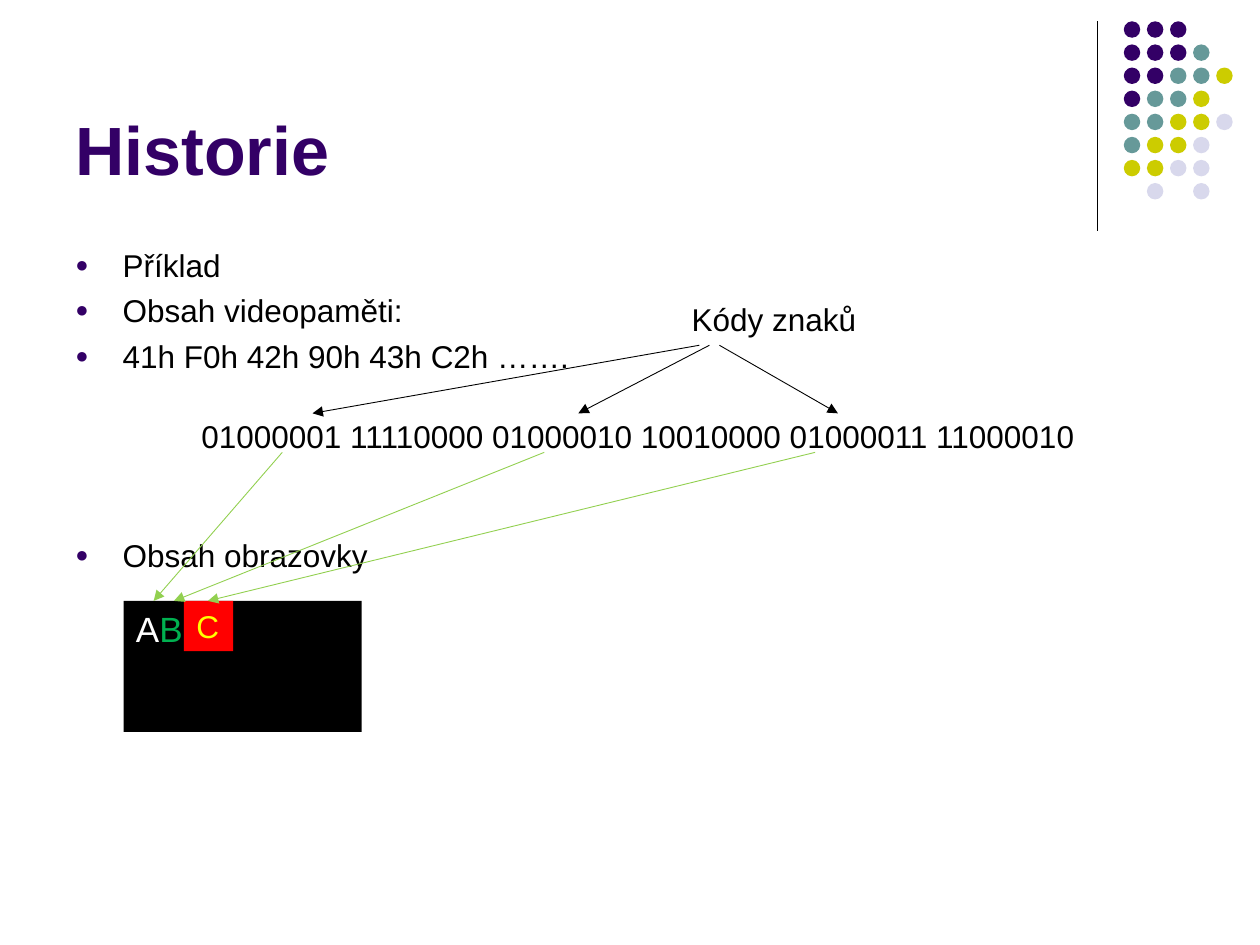
"""Build the slide Historie, on character codes in video memory."""
from lxml.etree import SubElement
from pptx import Presentation
from pptx.dml.color import RGBColor
from pptx.enum.shapes import MSO_CONNECTOR as Connector, MSO_SHAPE as Shape
from pptx.enum.text import MSO_ANCHOR as Anchor, PP_ALIGN as Align
from pptx.oxml.ns import qn
from pptx.util import Pt

BLACK = RGBColor(0x00, 0x00, 0x00)
WHITE = RGBColor(0xFF, 0xFF, 0xFF)
PURPLE = RGBColor(0x33, 0x00, 0x66)
TEAL = RGBColor(0x66, 0x99, 0x99)
OLIVE = RGBColor(0xCC, 0xCC, 0x00)
LAVENDER = RGBColor(0xD8, 0xD8, 0xEC)
GREEN = RGBColor(0x00, 0xB0, 0x50)
LIME = RGBColor(0x92, 0xD0, 0x50)
RED = RGBColor(0xFF, 0x00, 0x00)
YELLOW = RGBColor(0xFF, 0xFF, 0x00)

DOT_ROWS = ["PPP", "PPPT", "PPTTO", "PTTO", "TTOOL", "TOOL", "OOLL", " L L"]
DOT_COLORS = {"P": PURPLE, "T": TEAL, "O": OLIVE, "L": LAVENDER}
DOT_LEFT, DOT_TOP, DOT_PITCH, DOT_SIZE = 642.2, 12.2, 13.2, 9.4

TITLE_FORMAT = {"size": Pt(39), "bold": True}
BODY_FORMAT = {"size": Pt(18)}
SCREEN_FORMAT = {"size": Pt(20)}

BODY = [
    ("Příklad", True, 0),
    ("Obsah videopaměti:", True, 4.4),
    ("41h F0h 42h 90h 43h C2h …….", True, 4.4),
    ("01000001 11110000 01000010 10010000 01000011 11000010", False, 24.4),
    ("Obsah obrazovky", True, 46.2),
]
BULLET_INDENT, CODE_INDENT = 27, 72

TITLE_BOX = (36, 9.4, 594, 102.2)
BODY_BOX = (36, 136.8, 648, 345.6)
LABEL_BOX = (388.1, 167.8, 130.3, 28.8)
SCREEN_BOX = (70.6, 343.4, 136.1, 74.9)
CELL_BOX = (105.1, 343.4, 28.1, 28.8)

DIVIDER = ((627.1, 12.2), (627.1, 131.8))
ARROWS = [
    (BLACK, 197.3, 236.2, [(399.6, 178.6), (405.4, 330.5), (411.1, 478.8)]),
    (LIME, 258.5, 343.4, [(161.3, 87.8), (311, 99.4), (465.8, 118.8)]),
]


def points(values):
    return [Pt(value) for value in values]


def add_run(paragraph, text, color, font_format):
    run = paragraph.add_run()
    run.text = text
    for name, value in {"name": "Arial", **font_format}.items():
        setattr(run.font, name, value)
    run.font.color.rgb = color


def add_text(slide, box, text, color, font_format, anchor=Anchor.TOP):
    shape = slide.shapes.add_textbox(*points(box))
    shape.text_frame.word_wrap = True
    shape.text_frame.vertical_anchor = anchor
    add_run(shape.text_frame.paragraphs[0], text, color, font_format)


def add_filled(slide, kind, box, color):
    shape = slide.shapes.add_shape(kind, *points(box))
    shape.shadow.inherit = False
    shape.fill.solid()
    shape.fill.fore_color.rgb = color
    shape.line.fill.background()
    return shape


def add_panel(slide, box, fill, letters, font_format):
    frame = add_filled(slide, Shape.RECTANGLE, box, fill).text_frame
    frame.word_wrap = True
    frame.vertical_anchor = Anchor.TOP
    paragraph = frame.paragraphs[0]
    paragraph.alignment = Align.LEFT
    for letter, color in letters:
        add_run(paragraph, letter, color, font_format)


def add_line(slide, start, end, color, width, arrow=False):
    line = slide.shapes.add_connector(Connector.STRAIGHT, *points(start + end))
    line.line.color.rgb = color
    line.line.width = Pt(width)
    if arrow:
        SubElement(line.line._get_or_add_ln(), qn("a:tailEnd"), type="triangle")
    SubElement(line._element.spPr, qn("a:effectLst"))


def add_bullet(properties):
    color = SubElement(properties, qn("a:buClr"))
    SubElement(color, qn("a:srgbClr"), val=str(PURPLE))
    SubElement(properties, qn("a:buSzPct"), val="70000")
    SubElement(properties, qn("a:buFont"), typeface="Arial")
    SubElement(properties, qn("a:buChar"), char="●")


def add_body(slide):
    frame = slide.shapes.add_textbox(*points(BODY_BOX)).text_frame
    frame.word_wrap = True
    for index, (text, bulleted, space) in enumerate(BODY):
        paragraph = frame.add_paragraph() if index else frame.paragraphs[0]
        paragraph.space_before = Pt(space)
        properties = paragraph._p.get_or_add_pPr()
        indent = BULLET_INDENT if bulleted else CODE_INDENT
        properties.set("marL", str(Pt(indent)))
        if bulleted:
            properties.set("indent", str(-Pt(indent)))
            add_bullet(properties)
        add_run(paragraph, text, BLACK, BODY_FORMAT)


def add_dots(slide):
    for row, keys in enumerate(DOT_ROWS):
        for column, key in enumerate(keys):
            if key in DOT_COLORS:
                left = DOT_LEFT + column * DOT_PITCH
                top = DOT_TOP + row * DOT_PITCH
                box = (left, top, DOT_SIZE, DOT_SIZE)
                add_filled(slide, Shape.OVAL, box, DOT_COLORS[key])


def main():
    presentation = Presentation()
    presentation.slide_width, presentation.slide_height = Pt(720), Pt(540)
    slide = presentation.slides.add_slide(presentation.slide_layouts[6])
    add_line(slide, *DIVIDER, BLACK, 0.75)
    add_dots(slide)
    add_text(slide, TITLE_BOX, "Historie", PURPLE, TITLE_FORMAT, Anchor.BOTTOM)
    add_body(slide)
    add_panel(slide, SCREEN_BOX, BLACK, [("A", WHITE), ("B", GREEN)], SCREEN_FORMAT)
    add_panel(slide, CELL_BOX, RED, [("C", YELLOW)], BODY_FORMAT)
    add_text(slide, LABEL_BOX, "Kódy znaků", BLACK, BODY_FORMAT)
    for color, top, bottom, spans in ARROWS:
        for start, end in spans:
            add_line(slide, (start, top), (end, bottom), color, 0.5, True)
    presentation.save("out.pptx")


if __name__ == "__main__":
    main()
